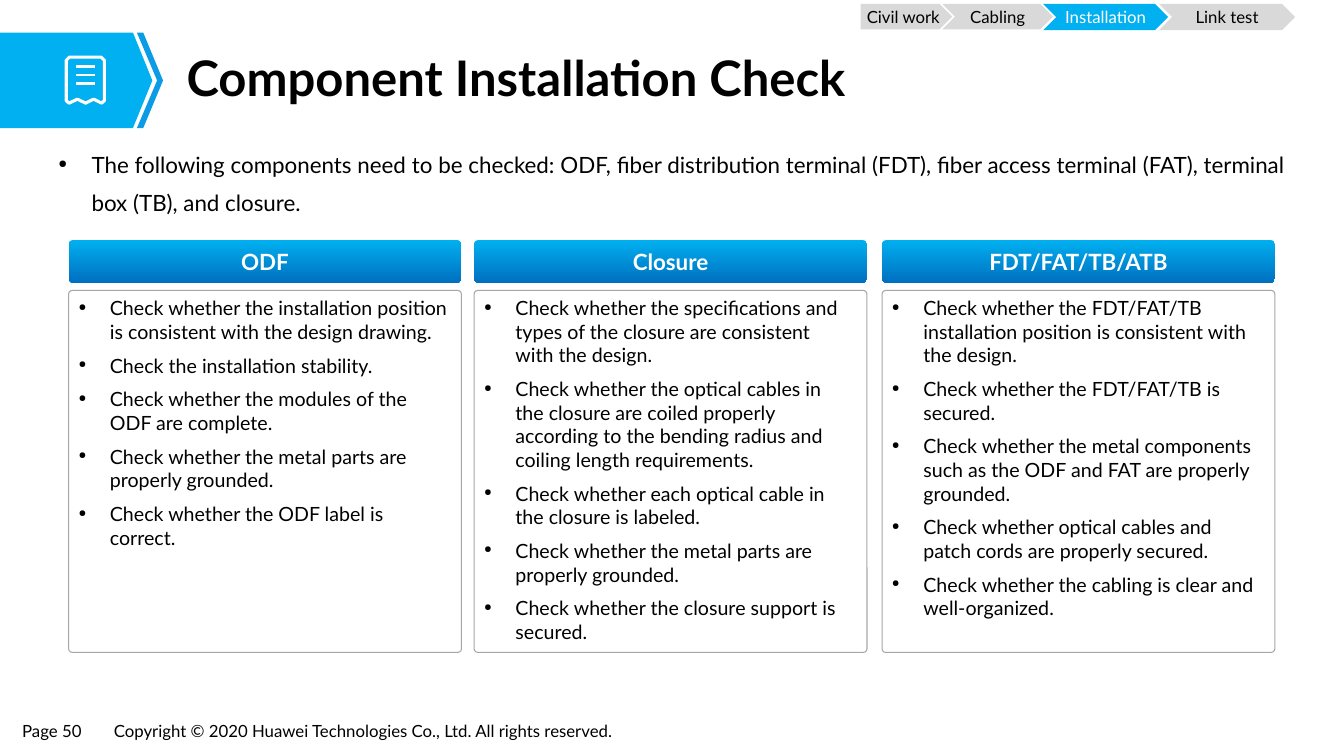
from dataclasses import dataclass

from lxml.etree import SubElement
from pptx import Presentation
from pptx.dml.color import RGBColor
from pptx.enum.shapes import MSO_CONNECTOR, MSO_SHAPE
from pptx.enum.text import MSO_ANCHOR, MSO_AUTO_SIZE, PP_ALIGN
from pptx.oxml.ns import qn
from pptx.util import Cm, Pt


@dataclass(frozen=True)
class Theme:
    font: str = "Lato"
    black: str = "000000"
    white: str = "FFFFFF"
    accent: str = "00B0F0"
    accent_edge: str = "0B9CE5"
    accent_dark: str = "0070C0"
    inactive: str = "D9D9D9"
    border: str = "A6A6A6"
    title_size: float = 35
    body_size: float = 16
    item_size: float = 14
    small_size: float = 12


class SlideBuilder:
    """Draws styled elements on the current slide."""

    def __init__(self, slide, theme):
        self.slide = slide
        self.theme = theme

    def style_font(self, paragraph, size, color, bold=False):
        font = paragraph.font
        font.name, font.size, font.bold = self.theme.font, Pt(size), bold
        font.color.rgb = RGBColor.from_string(color)

    def set_insets(self, frame, horizontal, vertical):
        frame.margin_left = frame.margin_right = Cm(horizontal)
        frame.margin_top = frame.margin_bottom = Cm(vertical)

    def paint(self, shape, fill=None, line=None, width=0.75):
        shape.shadow.inherit = False
        if fill:
            shape.fill.solid()
            shape.fill.fore_color.rgb = RGBColor.from_string(fill)
        else:
            shape.fill.background()
        if line:
            shape.line.color.rgb = RGBColor.from_string(line)
            shape.line.width = Pt(width)
        else:
            shape.line.fill.background()

    def title(self, text, left, top, width, height):
        shape = self.slide.shapes.title
        shape.left, shape.top, shape.width, shape.height = map(Cm, (left, top, width, height))
        frame = shape.text_frame
        frame.text = text
        frame.auto_size = MSO_AUTO_SIZE.NONE
        frame.vertical_anchor = MSO_ANCHOR.MIDDLE
        self.set_insets(frame, 0.28, 0.15)
        paragraph = frame.paragraphs[0]
        paragraph.alignment = PP_ALIGN.LEFT
        paragraph.line_spacing = 0.9
        self.style_font(paragraph, self.theme.title_size, self.theme.black, True)

    def text_box(self, left, top, width, height, horizontal=0.23, vertical=0.1, wrap=True):
        box = self.slide.shapes.add_textbox(*map(Cm, (left, top, width, height)))
        box.text_frame.word_wrap = wrap
        self.set_insets(box.text_frame, horizontal, vertical)
        return box.text_frame

    def label(self, text, left, top, width, height):
        paragraph = self.text_box(left, top, width, height, wrap=False).paragraphs[0]
        paragraph.text = text
        self.style_font(paragraph, self.theme.small_size, self.theme.black)

    def bullets(self, frame, items, size, indent, alignment=PP_ALIGN.LEFT, line_spacing=1.0):
        for index, item in enumerate(items):
            paragraph = frame.add_paragraph() if index else frame.paragraphs[0]
            paragraph.text = item
            paragraph.alignment = alignment
            properties = paragraph._p.get_or_add_pPr()
            properties.set("marL", str(Cm(indent)))
            properties.set("indent", str(-Cm(indent)))
            SubElement(properties, qn("a:buSzPct"), val="50000")
            SubElement(properties, qn("a:buChar"), char="●")
            paragraph.line_spacing = line_spacing
            if index:
                paragraph.space_before = Pt(7.4)
            self.style_font(paragraph, size, self.theme.black)

    def block(self, kind, left, top, width, height, text="", fill=None, line=None,
              size=12, color="000000", bold=False, corner=None):
        shape = self.slide.shapes.add_shape(kind, *map(Cm, (left, top, width, height)))
        self.paint(shape, fill, line)
        if corner is not None:
            shape.adjustments[0] = corner
        if text:
            frame = shape.text_frame
            self.set_insets(frame, 0, 0)
            frame.vertical_anchor = MSO_ANCHOR.MIDDLE
            paragraph = frame.paragraphs[0]
            paragraph.text = text
            paragraph.alignment = PP_ALIGN.CENTER
            self.style_font(paragraph, size, color, bold)
        return shape

    def polygon(self, points, fill=None, line=None, width=0.75):
        vertices = [(Cm(x), Cm(y)) for x, y in points]
        builder = self.slide.shapes.build_freeform(*vertices[0])
        builder.add_line_segments(vertices[1:], close=True)
        self.paint(builder.convert_to_shape(), fill, line, width)

    def stroke(self, x1, y1, x2, y2, color, width):
        connector = self.slide.shapes.add_connector(
            MSO_CONNECTOR.STRAIGHT, *map(Cm, (x1, y1, x2, y2)))
        connector.line.color.rgb = RGBColor.from_string(color)
        connector.line.width = Pt(width)
        SubElement(connector._element.spPr, qn("a:effectLst"))

    def card(self, heading, items, left):
        theme, width = self.theme, 9.9
        header = self.block(MSO_SHAPE.ROUNDED_RECTANGLE, left, 6.05, width, 1.07, heading,
                            theme.accent, size=theme.body_size, color=theme.white,
                            bold=True, corner=0.1)
        header.fill.gradient()
        header.fill.gradient_angle = 270
        for stop, color in zip(header.fill.gradient_stops, (theme.accent, theme.accent_dark)):
            stop.color.rgb = RGBColor.from_string(color)
        self.block(MSO_SHAPE.ROUNDED_RECTANGLE, left, 7.32, width, 9.12,
                   line=theme.border, corner=0.01)
        frame = self.text_box(left, 7.33, 9.8, 9.11, 0.25, 0.13)
        self.bullets(frame, items, theme.item_size, 0.79)

    def banner(self):
        theme = self.theme
        top, middle, bottom = 0.82, 2.03, 3.23
        self.polygon([(0, top), (3.35, top), (3.84, middle), (3.35, bottom), (0, bottom)],
                     theme.accent)
        self.polygon([(3.61, top), (3.45, top), (3.96, middle), (3.45, bottom),
                      (3.61, bottom), (4.11, middle)], theme.accent_edge)
        self.polygon([(1.75, 1.44), (2.55, 1.44), (2.63, 1.52), (2.63, 2.54), (2.56, 2.6),
                      (2.36, 2.5), (2.16, 2.6), (1.95, 2.5), (1.74, 2.6), (1.67, 2.54),
                      (1.67, 1.52)], line=theme.white, width=2.25)
        for row in range(3):
            y = 1.68 + 0.21 * row
            self.stroke(1.92, y, 2.4, y, theme.white, 1.75)


STAGES = [
    ("Civil work", 21.69, 2.31, 0.64),
    ("Cabling", 23.75, 2.79, 0.64),
    ("Installation", 26.29, 3.15, 0.66),
    ("Link test", 29.21, 3.43, 0.66),
]
CURRENT_STAGE = "Installation"

CARDS = [
    ("ODF", 1.73, [
        "Check whether the installation position is consistent with the design drawing.",
        "Check the installation stability.",
        "Check whether the modules of the ODF are complete.",
        "Check whether the metal parts are properly grounded.",
        "Check whether the ODF label is correct."]),
    ("Closure", 11.95, [
        "Check whether the specifications and types of the closure are consistent with the design.",
        "Check whether the optical cables in the closure are coiled properly according to the "
        "bending radius and coiling length requirements.",
        "Check whether each optical cable in the closure is labeled.",
        "Check whether the metal parts are properly grounded.",
        "Check whether the closure support is secured."]),
    ("FDT/FAT/TB/ATB", 22.23, [
        "Check whether the FDT/FAT/TB installation position is consistent with the design.",
        "Check whether the FDT/FAT/TB is secured.",
        "Check whether the metal components such as the ODF and FAT are properly grounded.",
        "Check whether optical cables and patch cords are properly secured.",
        "Check whether the cabling is clear and well-organized."]),
]


def main():
    presentation = Presentation()
    presentation.slide_width, presentation.slide_height = Cm(33.87), Cm(19.05)
    theme = Theme()
    builder = SlideBuilder(presentation.slides.add_slide(presentation.slide_layouts[5]), theme)
    builder.label("Page 50", 0.33, 18.06, 2.06, 0.74)
    builder.label("Copyright © 2020 Huawei Technologies Co., Ltd. All rights reserved.",
                  2.64, 18.06, 13.74, 0.74)
    builder.banner()
    builder.title("Component Installation Check", 4.42, 1.14, 27.3, 1.78)
    intro = builder.text_box(1.24, 3.45, 31.39, 2.3)
    builder.bullets(intro, ["The following components need to be checked: ODF, fiber distribution "
                            "terminal (FDT), fiber access terminal (FAT), terminal box (TB), "
                            "and closure."], theme.body_size, 0.84, PP_ALIGN.JUSTIFY, 1.4)
    for heading, left, items in CARDS:
        builder.card(heading, items, left)
    for index, (name, left, width, height) in enumerate(STAGES):
        active = name == CURRENT_STAGE
        builder.block(MSO_SHAPE.CHEVRON if index else MSO_SHAPE.PENTAGON, left, 0.1, width, height,
                      name, theme.accent if active else theme.inactive, size=theme.small_size,
                      color=theme.white if active else theme.black)
    presentation.save("out.pptx")


if __name__ == "__main__":
    main()
